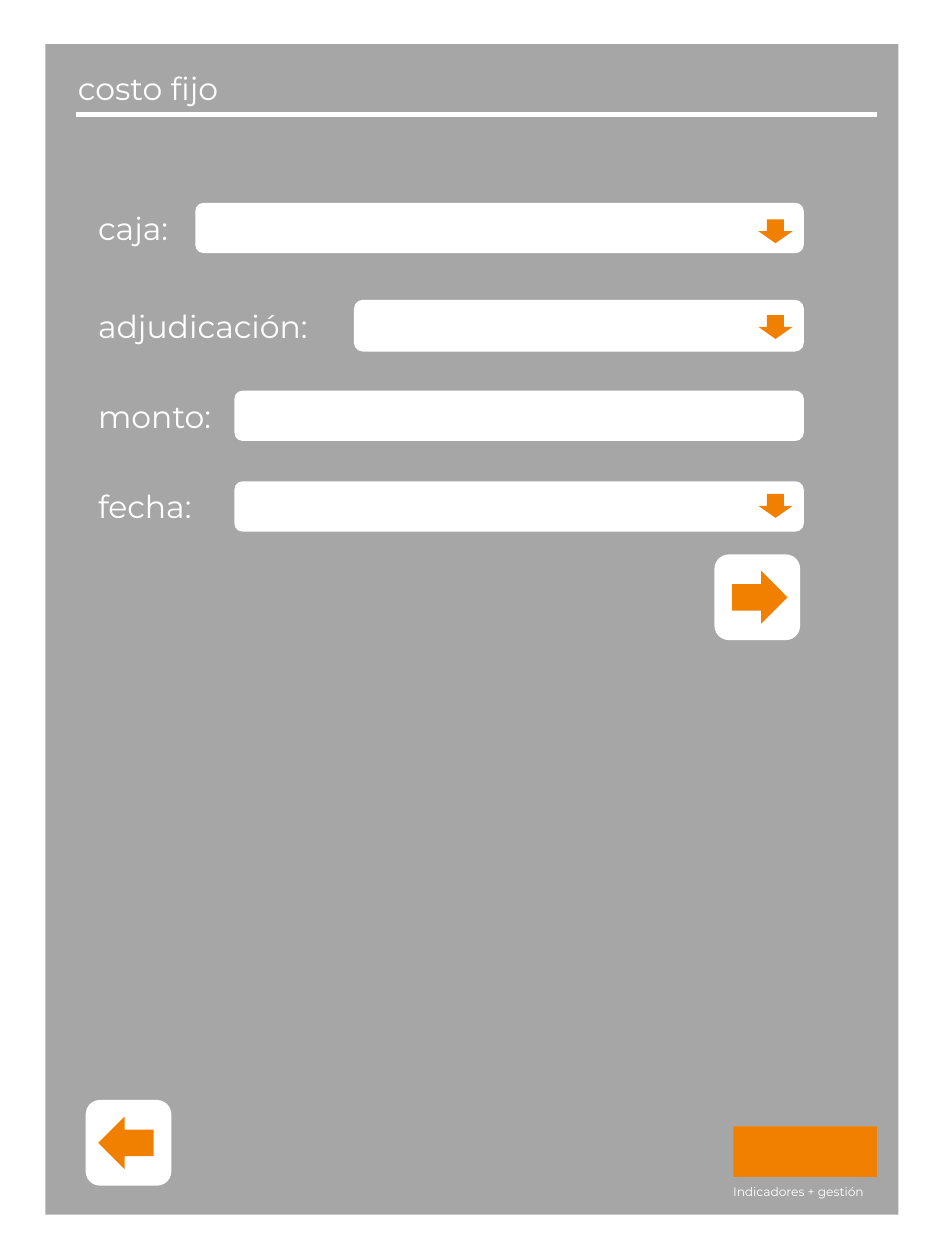
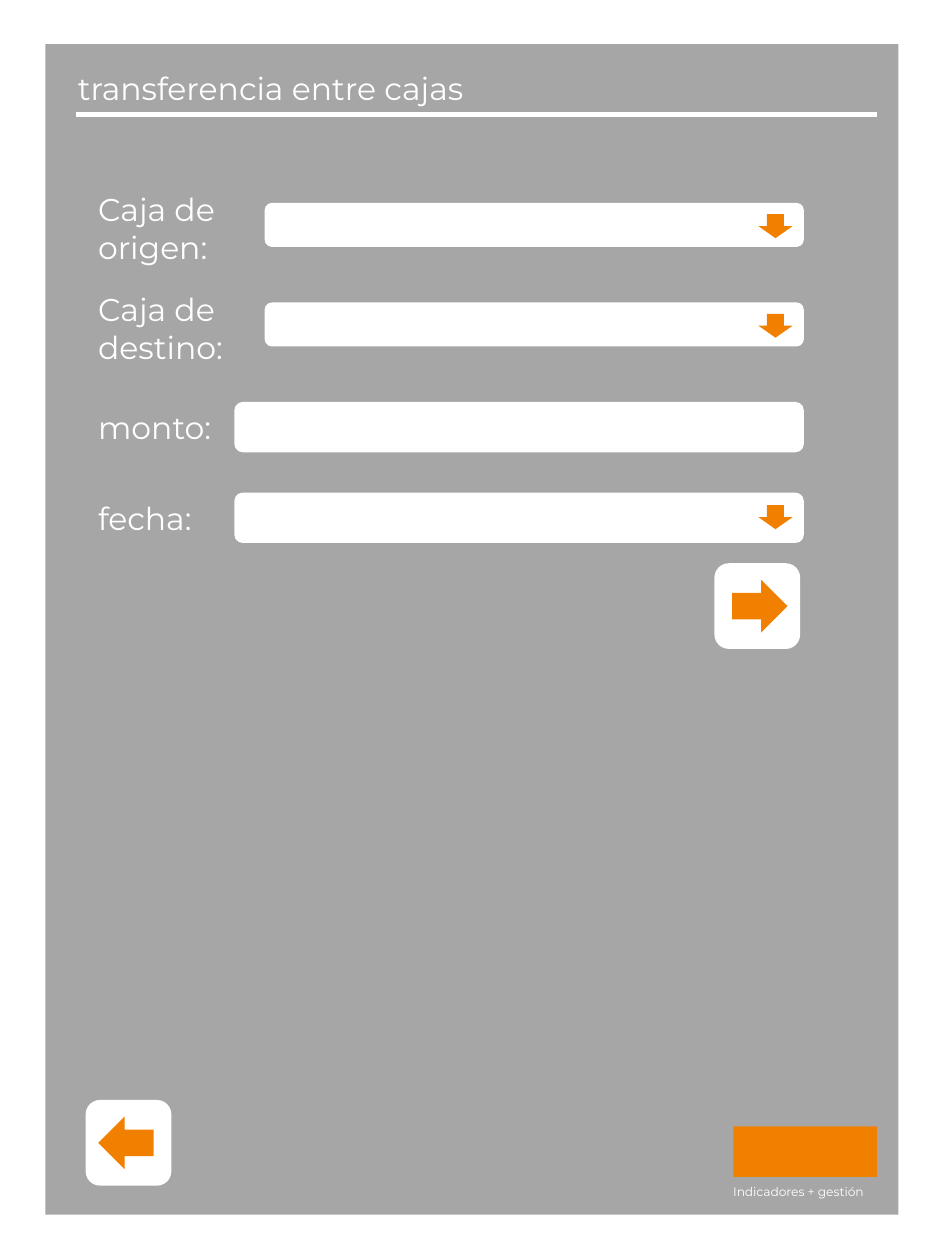
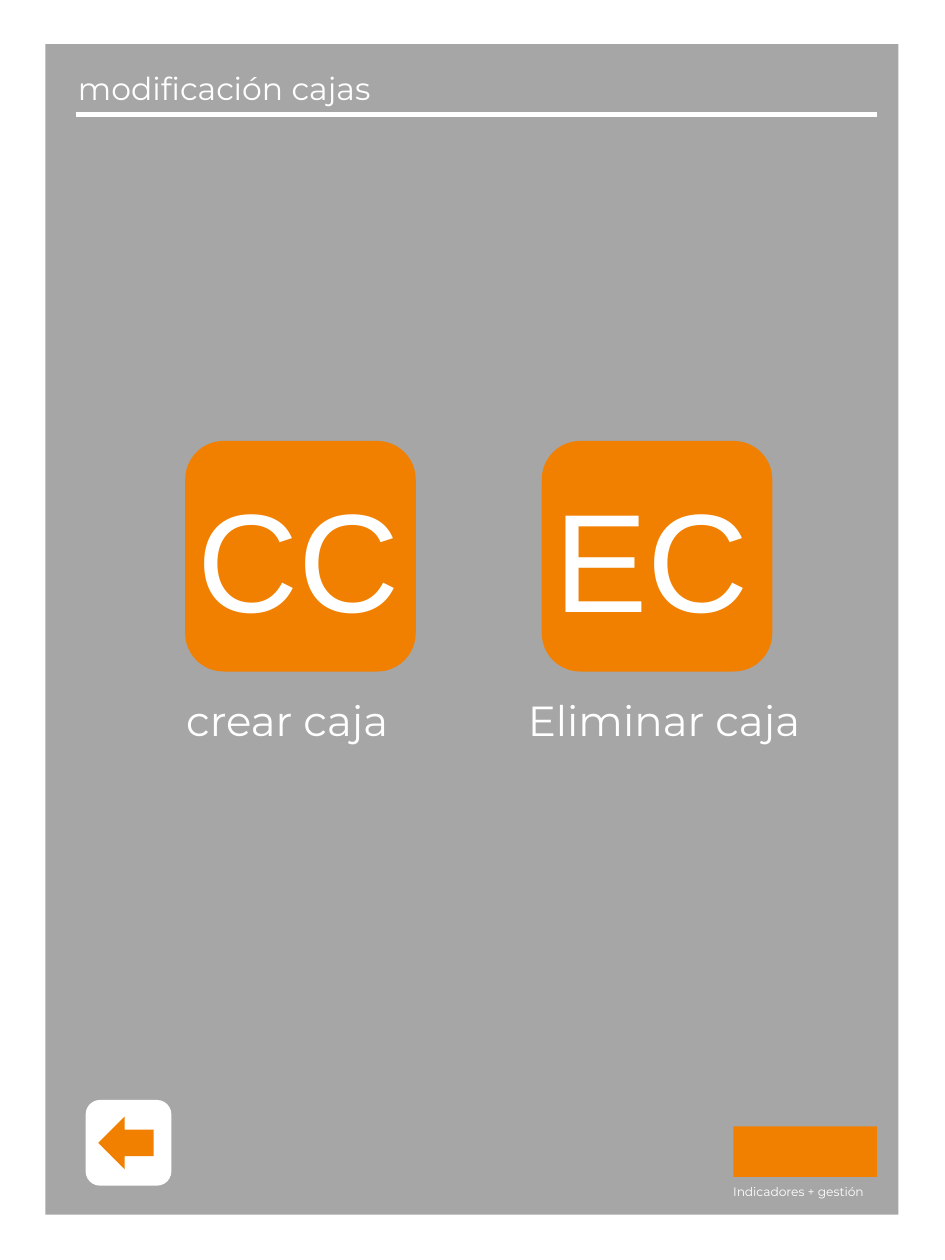
from dataclasses import dataclass

from lxml.etree import SubElement
from pptx import Presentation
from pptx.dml.color import RGBColor
from pptx.enum.shapes import MSO_CONNECTOR, MSO_SHAPE
from pptx.enum.text import MSO_AUTO_SIZE, PP_ALIGN
from pptx.oxml.ns import qn
from pptx.util import Inches, Pt


@dataclass(frozen=True)
class Theme:
    panel: RGBColor = RGBColor(0xA6, 0xA6, 0xA6)
    accent: RGBColor = RGBColor(0xF2, 0x80, 0x00)
    light: RGBColor = RGBColor(0xFF, 0xFF, 0xFF)
    font: str = "Montserrat"
    initials_font: str = "Arial"
    tagline_size: int = 7
    body_size: int = 18
    caption_size: int = 24
    initials_size: int = 80
    rule_width: int = 3


class ScreenBuilder:
    """Draws app screens that share one theme."""

    label_left = 0.68
    field_right = 6.38

    def __init__(self, presentation, theme):
        self.presentation = presentation
        self.theme = theme
        self.slide = None

    def shape(self, kind, left, top, width, height, color, rotation=0):
        shape = self.slide.shapes.add_shape(
            kind, Inches(left), Inches(top), Inches(width), Inches(height))
        shape.shadow.inherit = False
        shape.fill.solid()
        shape.fill.fore_color.rgb = color
        shape.line.fill.background()
        shape.rotation = rotation

    def text(self, text, left, top, width, height, size, font=None, align=PP_ALIGN.LEFT):
        box = self.slide.shapes.add_textbox(
            Inches(left), Inches(top), Inches(width), Inches(height))
        text_frame = box.text_frame
        text_frame.word_wrap = True
        text_frame.auto_size = MSO_AUTO_SIZE.SHAPE_TO_FIT_TEXT
        text_frame.text = text
        paragraph = text_frame.paragraphs[0]
        paragraph.alignment = align
        run_font = paragraph.runs[0].font
        run_font.name = font or self.theme.font
        run_font.size = Pt(size)
        run_font.color.rgb = self.theme.light

    def rule(self, left, right, top):
        line = self.slide.shapes.add_connector(
            MSO_CONNECTOR.STRAIGHT, Inches(left), Inches(top), Inches(right), Inches(top))
        line.line.color.rgb = self.theme.light
        line.line.width = Pt(self.theme.rule_width)
        SubElement(line._element.spPr, qn("a:effectLst"))

    def arrow_button(self, left, top, forward=False):
        rotation = 180 if forward else 0
        arrow_offset = 0.14 if forward else 0.1
        self.shape(MSO_SHAPE.ROUNDED_RECTANGLE, left, top, 0.68, 0.68,
                   self.theme.light, rotation)
        self.shape(MSO_SHAPE.LEFT_ARROW, left + arrow_offset, top + 0.13, 0.44, 0.42,
                   self.theme.accent, rotation)

    def screen(self, title):
        theme = self.theme
        self.slide = self.presentation.slides.add_slide(self.presentation.slide_layouts[6])
        self.shape(MSO_SHAPE.RECTANGLE, 0.36, 0.35, 6.77, 9.29, theme.panel)
        self.shape(MSO_SHAPE.RECTANGLE, 5.82, 8.94, 1.14, 0.4, theme.accent)
        self.text("Indicadores + gestión", 5.72, 9.35, 1.5, 0.22, theme.tagline_size)
        self.text(title, 0.52, 0.5, 5.86, 0.4, theme.body_size)
        self.rule(0.6, 6.96, 0.91)
        self.arrow_button(0.68, 8.73)

    def field(self, label, left, top, height=0.4, arrow_top=None, label_top=None, lines=1):
        self.shape(MSO_SHAPE.ROUNDED_RECTANGLE, left, top, self.field_right - left, height,
                   self.theme.light)
        self.text(label, self.label_left, label_top or top, left - self.label_left,
                  0.4 if lines == 1 else 0.71, self.theme.body_size)
        if arrow_top:
            self.shape(MSO_SHAPE.DOWN_ARROW, 6.02, arrow_top, 0.27, 0.19, self.theme.accent)

    def amount_and_date(self, top):
        self.field("monto:", 1.86, top)
        self.field("fecha:", 1.86, top + 0.72, arrow_top=top + 0.82)

    def tile(self, initials, left):
        self.shape(MSO_SHAPE.ROUNDED_RECTANGLE, left, 3.5, 1.83, 1.83, self.theme.accent)
        self.text(initials, left, 3.7, 2.24, 1.45, self.theme.initials_size,
                  self.theme.initials_font)

    def caption(self, text, left, width, align=PP_ALIGN.LEFT):
        self.text(text, left, 5.46, width, 0.5, self.theme.caption_size, align=align)


def main():
    presentation = Presentation()
    presentation.slide_width = Inches(7.5)
    presentation.slide_height = Inches(10)
    builder = ScreenBuilder(presentation, Theme())

    builder.screen("costo fijo")
    builder.field("caja:", 1.55, 1.61, arrow_top=1.74)
    builder.field("adjudicación:", 2.81, 2.38, 0.41, arrow_top=2.5, label_top=2.39)
    builder.amount_and_date(3.1)
    builder.arrow_button(5.67, 4.4, forward=True)

    builder.screen("transferencia entre cajas")
    for label, top in (("Caja de origen:", 1.61), ("Caja de destino:", 2.4)):
        builder.field(label, 2.1, top, 0.35, arrow_top=top + 0.09,
                      label_top=top - 0.15, lines=2)
    builder.amount_and_date(3.19)
    builder.arrow_button(5.67, 4.47, forward=True)

    builder.screen("modificación cajas")
    builder.tile("CC", 1.47)
    builder.caption("crear caja", 1.38, 2.07)
    builder.tile("EC", 4.3)
    builder.caption("Eliminar caja", 4.02, 2.5, PP_ALIGN.CENTER)

    presentation.save("out.pptx")


if __name__ == "__main__":
    main()
